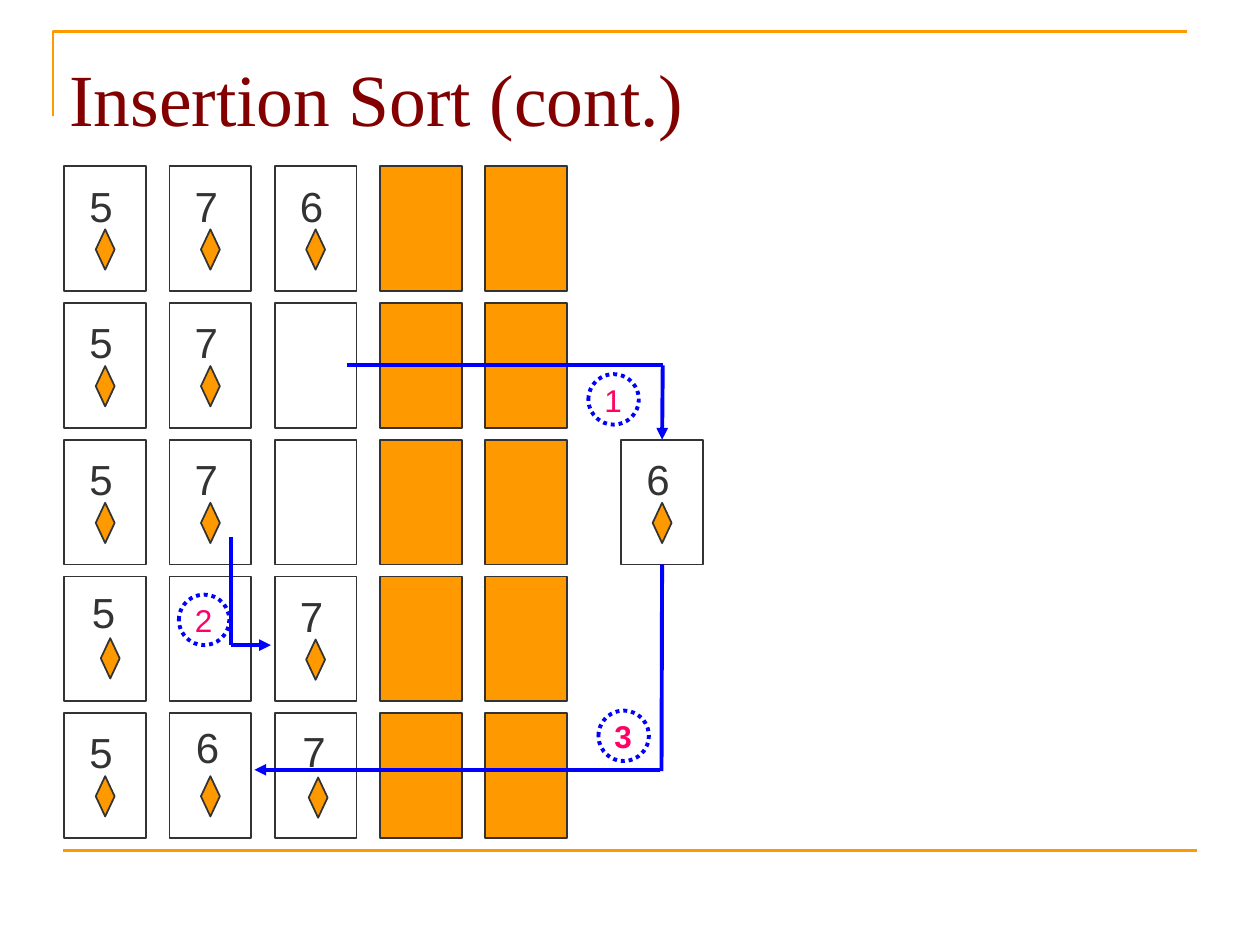
from dataclasses import dataclass
from typing import NamedTuple, Optional

from lxml import etree
from pptx import Presentation
from pptx import util as u
from pptx.dml.color import RGBColor
from pptx.enum import dml, shapes, text
from pptx.oxml.ns import qn

KIND = shapes.MSO_SHAPE


@dataclass(frozen=True)
class Theme:
    gold: str = "FF9900"
    ink: str = "333333"
    blue: str = "0000FF"
    pink: str = "FF0066"
    wine: str = "820000"
    sans: str = "Arial"
    serif: str = "Times New Roman"
    head: int = 42
    digit: int = 24
    step: int = 18
    rule: float = 1.5
    edge: float = 1
    move: float = 2.25


class Card(NamedTuple):
    digit: str = ""
    down: bool = False
    shift: tuple = (0, 0)  # nudge of the digit
    slip: tuple = (0, 0)  # nudge of the diamond


class Badge(NamedTuple):
    label: str
    x: float
    y: float
    bold: bool = False


class Move(NamedTuple):
    start: tuple
    end: tuple
    arrow: bool = False
    leave: Optional[int] = None  # side of the held card
    reach: Optional[int] = None


T = Theme()
CARD_W, CARD_H = 0.65, 0.99
LEFT, TOP, STEP_X, STEP_Y = 0.51, 1.32, 0.835, 1.085
HELD = (4.93, TOP + 2 * STEP_Y)

five, six, seven = Card("5"), Card("6"), Card("7")
gap, back = Card(), Card(down=True)
ROWS = [
    [five, seven, six, back, back],
    [five, seven, gap, back, back],
    [five, seven, gap, back, back],
    [Card("5", shift=(0.02, -0.03), slip=(0.04, -0.01)), gap, seven, back, back],
    [five, Card("6", shift=(0.01, -0.04)),
     Card("7", shift=(0.02, -0.01), slip=(0.02, 0.01)), back, back],
]
BADGES = [Badge("1", 4.67, 2.97), Badge("2", 1.42, 4.72), Badge("3", 4.75, 5.64, True)]
MOVES = [
    # 1: take the six out
    Move((2.75, 2.9), (5.26, 2.9)),
    Move((5.26, 2.9), (5.26, 3.49), arrow=True, reach=0),
    # 2: shift the seven right
    Move((1.83, 4.26), (1.83, 5.12)),
    Move((1.83, 5.12), (2.15, 5.12), arrow=True),
    # 3: put the six back
    Move((5.25, 4.48), (5.25, 6.12), leave=2),
    Move((5.24, 6.11), (2.02, 6.11), arrow=True),
]


def rgb(code: str) -> RGBColor:
    return RGBColor.from_string(code)


def draw(slide, kind, box: tuple, line: str, width: float, fill: str = ""):
    shape = slide.shapes.add_shape(kind, *map(u.Inches, box))
    shape.shadow.inherit = False
    if fill:
        shape.fill.solid()
        shape.fill.fore_color.rgb = rgb(fill)
    else:
        shape.fill.background()
    shape.line.color.rgb = rgb(line)
    shape.line.width = u.Pt(width)
    return shape


def style(frame, face: str, size: int, color: str, bold: bool = False) -> None:
    font = frame.paragraphs[0].runs[0].font
    font.name, font.size, font.bold = face, u.Pt(size), bold
    font.color.rgb = rgb(color)


def label(slide, words: str, box: tuple, size: int, color: str,
          bold: bool = False, mid: bool = False) -> None:
    frame = slide.shapes.add_textbox(*map(u.Inches, box)).text_frame
    frame.margin_left = frame.margin_right = u.Inches(0.05)
    frame.margin_top = frame.margin_bottom = u.Inches(0.05)
    frame.word_wrap = False
    frame.auto_size = text.MSO_AUTO_SIZE.SHAPE_TO_FIT_TEXT
    frame.text = words
    if mid:
        frame.vertical_anchor = text.MSO_ANCHOR.MIDDLE
        frame.paragraphs[0].alignment = text.PP_ALIGN.CENTER
    style(frame, T.sans, size, color, bold)


def deal(slide, card: Card, x: float, y: float):
    fill = T.gold if card.down else ""
    shape = draw(slide, KIND.RECTANGLE, (x, y, CARD_W, CARD_H), T.ink, T.edge, fill)
    if card.digit:
        dx, dy = card.shift
        label(slide, card.digit, (x + 0.15 + dx, y + 0.06 + dy, 0.3, 0.48),
              T.digit, T.ink)
        dx, dy = card.slip
        draw(slide, KIND.DIAMOND, (x + 0.25 + dx, y + 0.5 + dy, 0.15, 0.32),
             T.ink, T.edge, T.gold)
    return shape


def link(slide, start: tuple, end: tuple, color: str, width: float,
         arrow: bool = False):
    line = slide.shapes.add_connector(
        shapes.MSO_CONNECTOR.STRAIGHT, *map(u.Inches, start + end))
    line.line.color.rgb = rgb(color)
    line.line.width = u.Pt(width)
    if arrow:
        tail = etree.SubElement(line.line._get_or_add_ln(), qn("a:tailEnd"))
        tail.set("type", "triangle")
    etree.SubElement(line._element.spPr, qn("a:effectLst"))
    return line


def mark(slide, badge: Badge) -> None:
    ring = draw(slide, KIND.OVAL, (badge.x, badge.y, 0.4, 0.4), T.blue, T.move)
    ring.line.dash_style = dml.MSO_LINE.ROUND_DOT
    label(slide, badge.label, (badge.x + 0.07, badge.y + 0.01, 0.25, 0.38),
          T.step, T.pink, badge.bold, mid=True)


def frame_page(slide) -> None:
    path = slide.shapes.build_freeform(u.Inches(0.42), u.Inches(0.92))
    path.add_line_segments(
        [(u.Inches(x), u.Inches(0.25)) for x in (0.42, 9.42)], close=False)
    corner = path.convert_to_shape()
    corner.shadow.inherit = False
    corner.fill.background()
    corner.line.color.rgb = rgb(T.gold)
    corner.line.width = u.Pt(T.rule)
    link(slide, (0.5, 6.75), (9.5, 6.75), T.gold, T.rule)


def set_title(slide, words: str) -> None:
    title = slide.shapes.title
    title.left, title.top = u.Inches(0.5), u.Inches(0.3)
    title.width, title.height = u.Inches(9), u.Inches(1.03)
    frame = title.text_frame
    frame.text = words
    frame.auto_size = text.MSO_AUTO_SIZE.NONE
    frame.vertical_anchor = text.MSO_ANCHOR.TOP
    frame.margin_left = frame.margin_right = u.Inches(0.05)
    frame.margin_top = u.Inches(0.12)
    frame.paragraphs[0].alignment = text.PP_ALIGN.LEFT
    style(frame, T.serif, T.head, T.wine)


def main() -> None:
    deck = Presentation()
    deck.slide_width, deck.slide_height = u.Inches(10), u.Inches(7.5)
    slide = deck.slides.add_slide(deck.slide_layouts[5])
    frame_page(slide)
    set_title(slide, "Insertion Sort (cont.)")

    # Card rows, one per stage, and the card taken out
    for r, row in enumerate(ROWS):
        for c, card in enumerate(row):
            deal(slide, card, LEFT + c * STEP_X, TOP + r * STEP_Y)
    held = deal(slide, six, *HELD)

    # Numbered steps and their arrows
    for badge in BADGES:
        mark(slide, badge)
    for move in MOVES:
        line = link(slide, move.start, move.end, T.blue, T.move, move.arrow)
        if move.leave is not None:
            line.begin_connect(held, move.leave)
        if move.reach is not None:
            line.end_connect(held, move.reach)
    deck.save("out.pptx")


if __name__ == "__main__":
    main()
